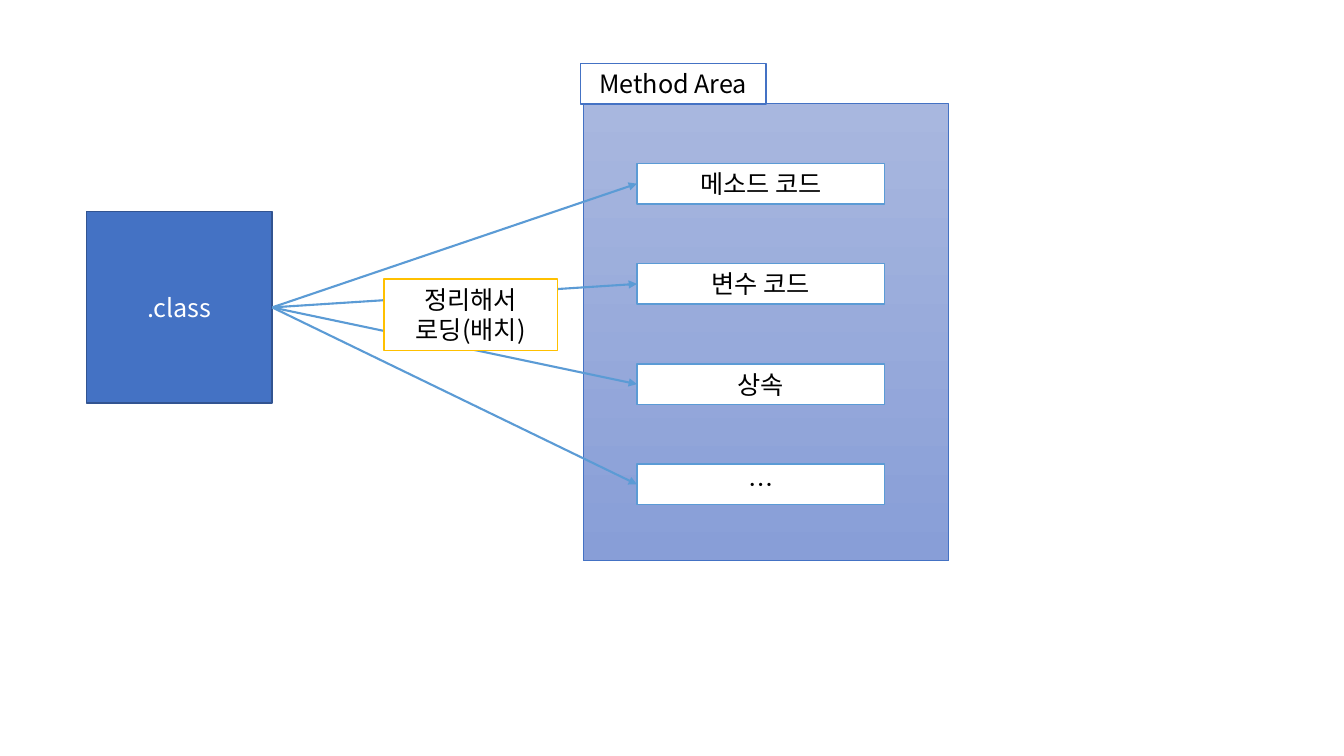
import pptx
import pptx.dml.color
import pptx.enum.shapes
import pptx.enum.text
import pptx.oxml
import pptx.oxml.ns
import pptx.util
from pptx.util import Pt

FONT = "Noto Sans CJK KR"
BLUE = "4472C4"
LIGHT_BLUE = "5B9BD5"
GOLD = "FFC000"
WHITE = "FFFFFF"
BLACK = "000000"
ENTRIES = ["메소드 코드", "변수 코드", "상속", "…"]


def color(value):
    return pptx.dml.color.RGBColor.from_string(value)


def add_element(parent, tag, **attributes):
    element = pptx.oxml.parse_xml(f"<a:{tag} {pptx.oxml.ns.nsdecls('a')}/>")
    for name, value in attributes.items():
        element.set(name, value)
    parent.append(element)


def write_text(shape, text, size=18, text_color=BLACK, anchor="TOP", grow=True):
    frame = shape.text_frame
    frame.word_wrap = True
    frame.vertical_anchor = getattr(pptx.enum.text.MSO_ANCHOR, anchor)
    if grow:
        frame.auto_size = pptx.enum.text.MSO_AUTO_SIZE.SHAPE_TO_FIT_TEXT
    frame.text = text
    for paragraph in frame.paragraphs:
        paragraph.alignment = pptx.enum.text.PP_ALIGN.CENTER
        for run in paragraph.runs:
            run.font.size = Pt(size)
            run.font.color.rgb = color(text_color)
            run.font.name = FONT
            add_element(run.font._element, "ea", typeface=FONT)


def add_box(slide, left, top, width, height, line, fill=WHITE, line_width=1):
    shape = slide.shapes.add_shape(
        pptx.enum.shapes.MSO_SHAPE.RECTANGLE, Pt(left), Pt(top), Pt(width), Pt(height))
    shape.shadow.inherit = False
    shape.fill.solid()
    shape.fill.fore_color.rgb = color(fill)
    shape.line.color.rgb = color(line)
    shape.line.width = Pt(line_width)
    return shape


def add_class_file(slide, left, top, width, height):
    shape = add_box(slide, left, top, width, height, "325491", fill=BLUE)
    write_text(shape, ".class", text_color=WHITE, anchor="MIDDLE", grow=False)
    return shape


def add_method_area(slide, left, top, width, height):
    panel = add_box(slide, left, top, width, height, BLUE, line_width=0.5)
    panel.fill.gradient()
    panel.fill.gradient_angle = 270
    for stop, value in zip(panel.fill.gradient_stops, ["A8B7DF", "889ED7"]):
        stop.color.rgb = color(value)

    label = add_box(slide, left - 2.2, top - 29, 132.5, 29, BLUE)
    write_text(label, "Method Area")

    entries = []
    for index, text in enumerate(ENTRIES):
        entry = add_box(slide, left + 38.2, top + 42.5 + 71.6 * index, 177, 29, LIGHT_BLUE)
        write_text(entry, text)
        entries.append(entry)
    return entries


def add_arrow(slide, source, target):
    arrow = slide.shapes.add_connector(
        pptx.enum.shapes.MSO_CONNECTOR.STRAIGHT, Pt(0), Pt(0), Pt(0), Pt(0))
    arrow.begin_connect(source, 3)
    arrow.end_connect(target, 1)
    arrow.line.color.rgb = color(LIGHT_BLUE)
    arrow.line.width = Pt(1.5)
    add_element(arrow.line._get_or_add_ln(), "tailEnd", type="triangle")
    add_element(arrow._element.spPr, "effectLst")


def add_loading_note(slide, left, top, width, height):
    note = add_box(slide, left, top, width, height, GOLD)
    write_text(note, "정리해서\n로딩(배치)")


def main():
    presentation = pptx.Presentation()
    presentation.slide_width = Pt(960)
    presentation.slide_height = Pt(540)
    slide = presentation.slides.add_slide(presentation.slide_layouts[6])

    entries = add_method_area(slide, 416.8, 74.2, 260.8, 326.2)
    class_file = add_class_file(slide, 61.9, 151.2, 132.5, 136.8)
    for entry in entries:
        add_arrow(slide, class_file, entry)
    add_loading_note(slide, 274.3, 199.4, 123.8, 51)

    presentation.save("out.pptx")


if __name__ == "__main__":
    main()
